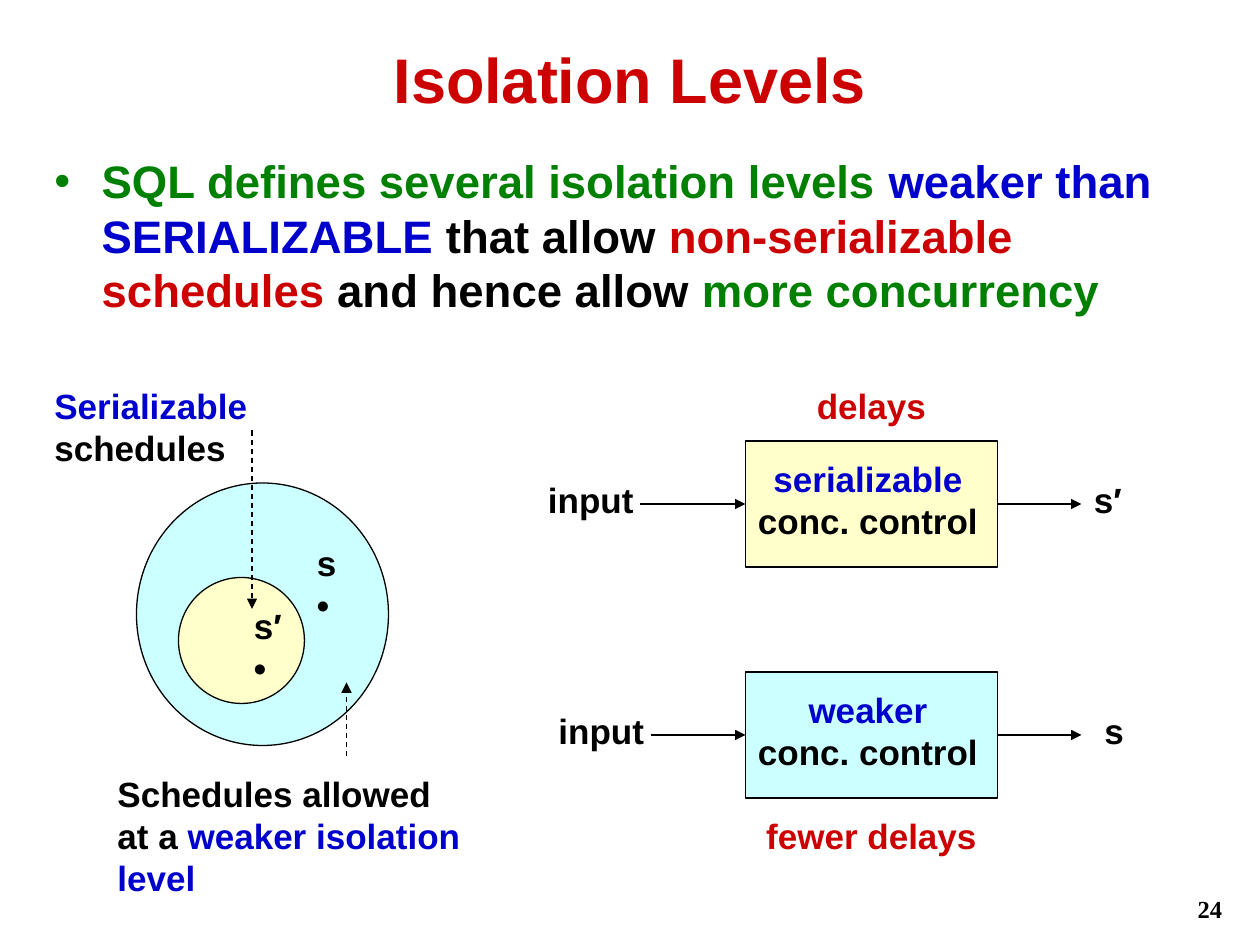
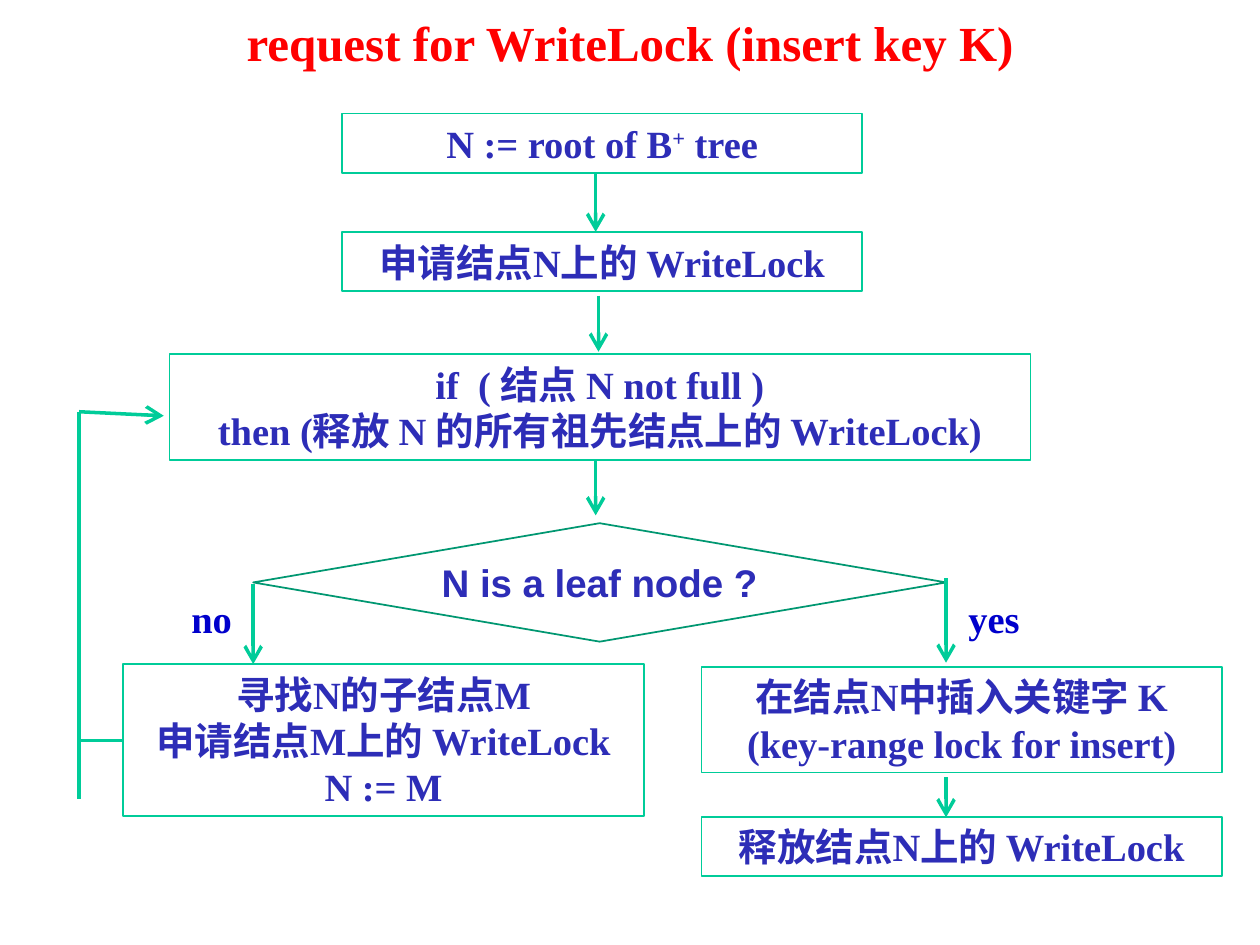
from dataclasses import dataclass
from typing import NamedTuple, Optional, Union

from lxml.etree import SubElement
from pptx import Presentation
from pptx.dml.color import RGBColor
from pptx.enum.dml import MSO_LINE
from pptx.enum.shapes import MSO_CONNECTOR, MSO_SHAPE
from pptx.enum.text import MSO_ANCHOR, PP_ALIGN
from pptx.oxml.ns import qn
from pptx.util import Pt

BLACK, BLUE, RED, GREEN = "000000", "0000CC", "CC0000", "008000"
AQUA, CREAM = "CCFFFF", "FFFFCC"
TEAL, PINE, INDIGO, SCARLET = "00CC99", "009771", "2D2DB7", "FF0000"
LEFT, MID, RIGHT = PP_ALIGN.LEFT, PP_ALIGN.CENTER, PP_ALIGN.RIGHT
SANS, SERIF = "Arial", "Times New Roman"


class Style(NamedTuple):
    face: str
    size: float
    color: str
    align: PP_ALIGN = LEFT
    anchor: MSO_ANCHOR = MSO_ANCHOR.TOP


class Span(NamedTuple):
    text: str
    color: str
    lift: int = 0


class Area(NamedTuple):
    left: float
    top: float
    width: float
    height: float


class Arrow(NamedTuple):
    x: float
    y: float
    to_x: float
    to_y: float
    head: Optional[str] = "arrow"


@dataclass
class Control:
    kind: str
    fill: str
    top: float
    shift: float
    result: str
    note: str
    note_top: float


@dataclass
class Step:
    left: float
    top: float
    lines: list
    width: float = 297.5

    @property
    def area(self) -> Area:
        return Area(self.left, self.top, self.width, 7.5 + 26.5 * len(self.lines))


Lines = list[Union[str, list[Span]]]

HEAD = Style(SANS, 36, RED, MID, MSO_ANCHOR.MIDDLE)
BODY = Style(SANS, 26, GREEN)
LABEL = Style(SANS, 20, BLACK)
NOTE = LABEL._replace(color=RED, align=MID)
PAGE = Style(SERIF, 14, BLACK, RIGHT)
NODE = Style(SERIF, 22, INDIGO, MID, MSO_ANCHOR.MIDDLE)
BRANCH = Style(SERIF, 22, BLUE, MID)
TOPIC = Style(SERIF, 28, SCARLET, MID)

CONTROLS = [
    Control("weaker", AQUA, 384, 6, "s", "fewer delays", 462),
    Control("serializable", CREAM, 252, 0, "s′", "delays", 216),
]

STEPS = [
    Step(195.3, 64.8, [[Span("N := root of B", INDIGO), Span("+", INDIGO, 30),
                        Span(" tree", INDIGO)]]),
    Step(195.3, 132.5, ["申请结点N上的 WriteLock"]),
    Step(96.8, 202.3, ["if  ( 结点 N not full )",
                       "then (释放 N 的所有祖先结点上的 WriteLock)"], 492),
    Step(70.4, 379.5, ["寻找N的子结点M", "申请结点M上的 WriteLock", "N := M"]),
    Step(400.8, 381, ["在结点N中插入关键字 K", "(key-range lock for insert)"]),
    Step(400.8, 466.7, ["释放结点N上的 WriteLock"]),
]

ARROWS = [
    Arrow(340.4, 98.5, 340.4, 132.5),
    Arrow(342, 169, 342, 201),
    Arrow(340.4, 263, 340.4, 294.5),
    Arrow(144.7, 334, 144.7, 379.5),
    Arrow(45.2, 235.3, 93.6, 237.6),
    Arrow(45.2, 423.2, 70.4, 423.2, None),
    Arrow(45.2, 235.3, 45.2, 456.5, None),
    Arrow(540.6, 330.5, 540.6, 378.7),
    Arrow(540.6, 444.3, 540.6, 467),
]


def hue(code: str) -> RGBColor:
    return RGBColor.from_string(code)


def write(frame, lines: Lines, style: Style) -> None:
    frame.word_wrap = True
    frame.vertical_anchor = style.anchor
    for index, line in enumerate(lines):
        para = frame.add_paragraph() if index else frame.paragraphs[0]
        para.alignment = style.align
        font = para.font
        font.name, font.size, font.bold = style.face, Pt(style.size), True
        spans = [Span(line, style.color)] if isinstance(line, str) else line
        same = len({span.color for span in spans}) == 1
        if same:
            font.color.rgb = hue(spans[0].color)
        for span in spans:
            run = para.add_run()
            run.text = span.text
            if not same:
                run.font.color.rgb = hue(span.color)
            if span.lift:
                run.font._element.set("baseline", str(span.lift * 1000))


def label(slide, area: Area, lines: Lines, style: Style):
    box = slide.shapes.add_textbox(*map(Pt, area))
    write(box.text_frame, lines, style)
    return box.text_frame


def block(slide, kind: MSO_SHAPE, area: Area, line: str,
          width: float, fill: Optional[str] = None):
    shape = slide.shapes.add_shape(kind, *map(Pt, area))
    shape.shadow.inherit = False
    if fill:
        shape.fill.solid()
        shape.fill.fore_color.rgb = hue(fill)
    else:
        shape.fill.background()
    shape.line.color.rgb = hue(line)
    shape.line.width = Pt(width)
    return shape.text_frame


def link(slide, arrow: Arrow, color: str, width: float,
         size: str = "med", dash: bool = False) -> None:
    wire = slide.shapes.add_connector(MSO_CONNECTOR.STRAIGHT, *map(Pt, arrow[:4]))
    wire.line.color.rgb = hue(color)
    wire.line.width = Pt(width)
    if dash:
        wire.line.dash_style = MSO_LINE.DASH
    if arrow.head:
        SubElement(wire.line._get_or_add_ln(), qn("a:tailEnd"),
                   type=arrow.head, w=size, len=size)
    SubElement(wire._element.spPr, qn("a:effectLst"))


def bullet(para, indent: float, color: str, face: str) -> None:
    props = para._p.get_or_add_pPr()
    props.set("marL", str(Pt(indent)))
    props.set("indent", str(-Pt(indent)))
    tint = SubElement(props, qn("a:buClr"))
    SubElement(tint, qn("a:srgbClr"), val=color)
    font = SubElement(props, qn("a:buFont"), typeface=face)
    mark = SubElement(props, qn("a:buChar"), char="•")
    for index, part in enumerate((tint, font, mark)):
        props.insert(index, part)


def control(slide, item: Control) -> None:
    left, width, mid = 426, 144, item.top + 36
    block(slide, MSO_SHAPE.RECTANGLE, Area(left, item.top, width, 72),
          BLACK, 0.75, item.fill)
    label(slide, Area(left, item.top + 6, 140, 55),
          [[Span(item.kind, BLUE)], [Span("conc. control", BLACK)]],
          LABEL._replace(align=MID))
    link(slide, Arrow(366 + item.shift, mid, left, mid, "triangle"), BLACK, 0.75)
    link(slide, Arrow(left + width, mid, 618, mid, "triangle"), BLACK, 0.75)
    label(slide, Area(306 + item.shift, mid - 18, 70, 31), ["input"], LABEL)
    label(slide, Area(618 + item.shift, mid - 18, 36, 31), [item.result], LABEL)
    label(slide, Area(left, item.note_top, width, 31), [item.note], NOTE)


def levels(slide) -> None:
    label(slide, Area(631.5, 507.5, 74, 25), ["24"], PAGE)
    label(slide, Area(54, 12, 612, 66), ["Isolation Levels"], HEAD)
    body = label(slide, Area(24, 84, 660, 114), [[
        Span("SQL defines several isolation levels ", GREEN),
        Span("weaker than SERIALIZABLE", BLUE),
        Span(" that allow ", BLACK),
        Span("non-serializable schedules", RED),
        Span(" and hence allow ", BLACK),
        Span("more concurrency", GREEN)]], BODY)
    bullet(body.paragraphs[0], 27, GREEN, SANS)
    for area, fill in ((Area(78, 276, 144, 150), AQUA), (Area(102, 330, 72, 72), CREAM)):
        block(slide, MSO_SHAPE.OVAL, area, BLACK, 0.75, fill)
    label(slide, Area(24, 216, 200, 55),
          [[Span("Serializable", BLUE), Span(" schedules", BLACK)]], LABEL)
    label(slide, Area(60, 438, 250, 79),
          ["Schedules allowed",
           [Span("at a ", BLACK), Span("weaker isolation level", BLUE)]], LABEL)
    for arrow in (Arrow(144, 246, 144, 348, "triangle"),
                  Arrow(198, 432, 198, 390, "triangle")):
        link(slide, arrow, BLACK, 0.75, dash=True)
    label(slide, Area(174, 306, 36, 55), ["s", "•"], LABEL)
    label(slide, Area(138, 342, 36, 55), ["s′", "•"], LABEL)
    for item in CONTROLS:
        control(slide, item)


def locking(slide) -> None:
    label(slide, Area(12, 3.6, 696, 41), ["request for WriteLock (insert key K)"], TOPIC)
    for step in STEPS:
        write(block(slide, MSO_SHAPE.RECTANGLE, step.area, TEAL, 1), step.lines, NODE)
    test = block(slide, MSO_SHAPE.DIAMOND, Area(144.7, 299, 396, 67.7), PINE, 1)
    test.margin_left = test.margin_right = Pt(0)
    write(test, ["N is a leaf node ?"], NODE._replace(face=SANS))
    for left, word in ((85.7, "no"), (532.8, "yes")):
        label(slide, Area(left, 336.3, 70.5, 34), [word], BRANCH)
    for arrow in ARROWS:
        link(slide, arrow, TEAL, 2, "lg")


def main() -> None:
    deck = Presentation()
    deck.slide_width, deck.slide_height = Pt(720), Pt(540)
    for draw in (levels, locking):
        draw(deck.slides.add_slide(deck.slide_layouts[6]))
    deck.save("out.pptx")


if __name__ == "__main__":
    main()
